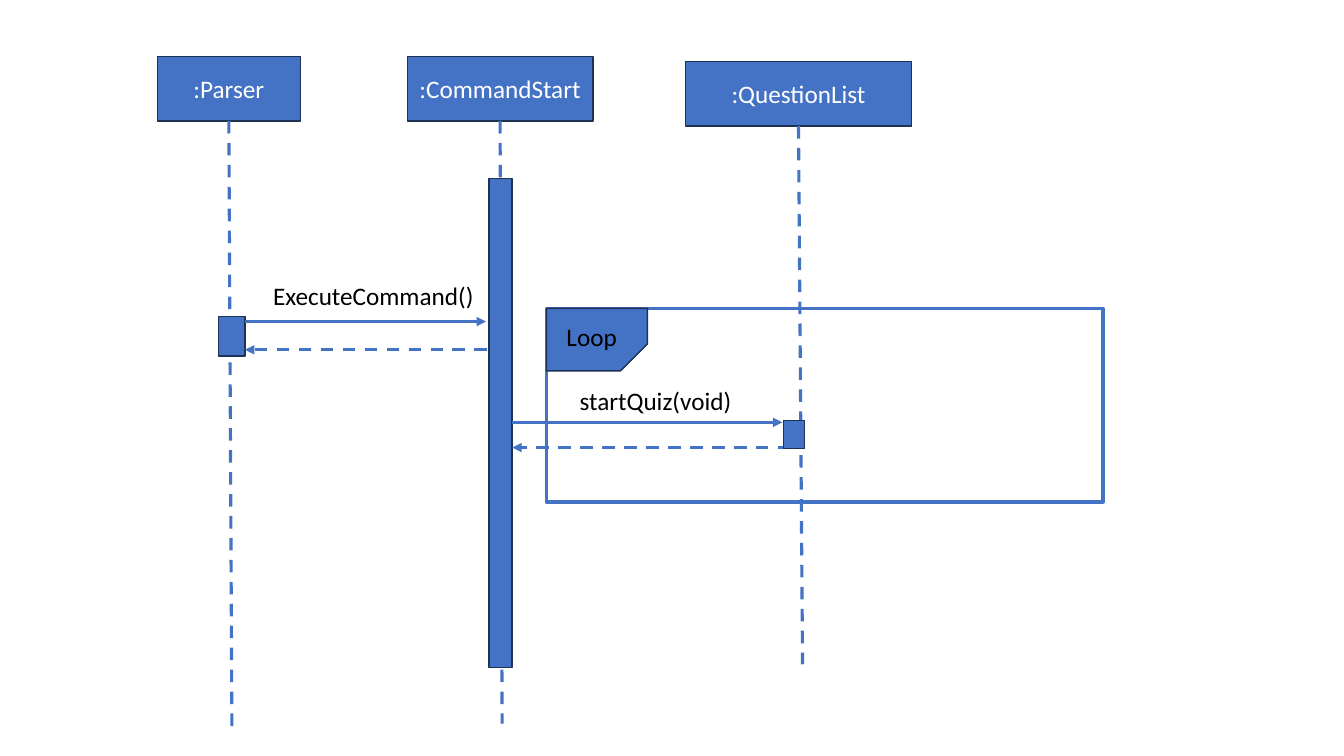
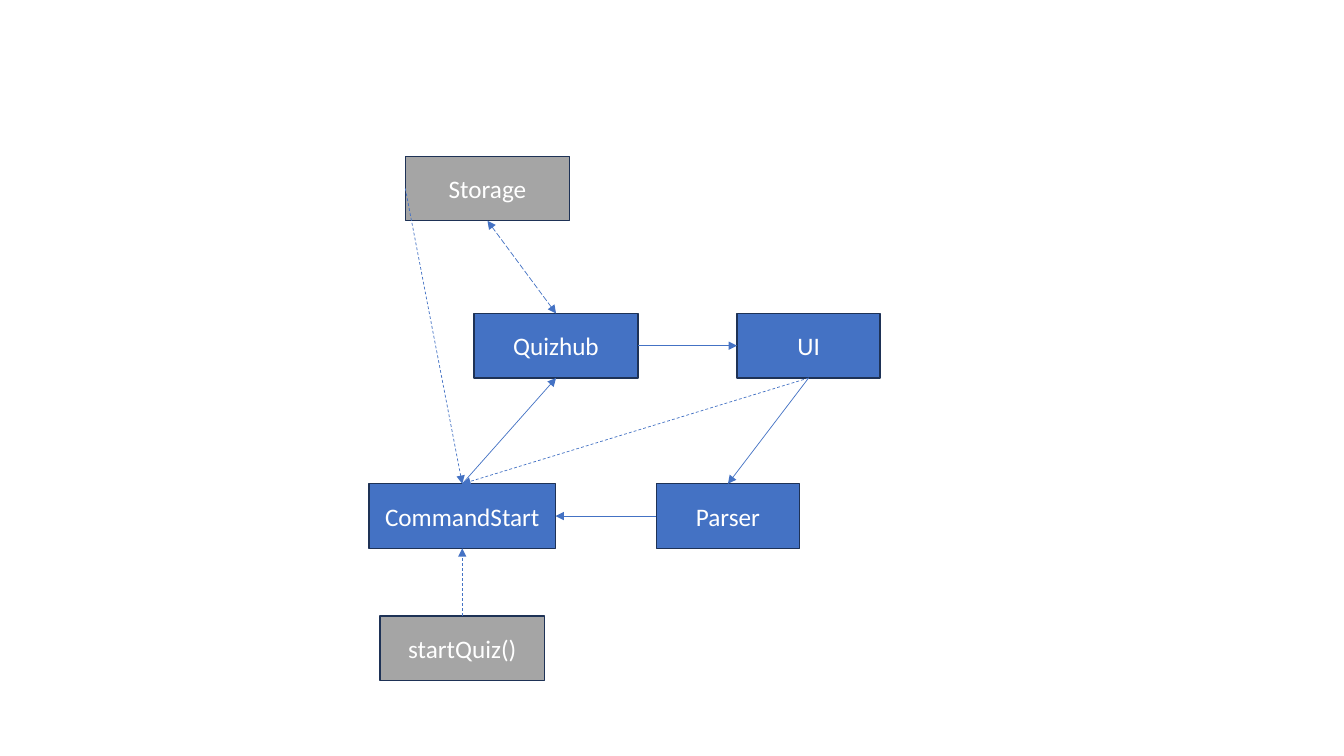
from pptx import Presentation
from pptx.dml.color import RGBColor
from pptx.enum import dml, shapes, text
from pptx.oxml import ns, xmlchemy
from pptx.util import Inches, Pt

# Shared look
BLUE, GREY, NAVY = "4472C4", "A5A5A5", "1E3256"
WHITE, BLACK = "FFFFFF", "000000"
FONT = {"name": "Calibri", "size": Pt(18)}
BOX_HEIGHT = 0.64
DASH, LONG_DASH = dml.MSO_LINE.DASH, dml.MSO_LINE.LONG_DASH
TOP, LEFT, BOTTOM, RIGHT = range(4)


def colour(hex_value):
    return RGBColor.from_string(hex_value)


def set_all(target, values):
    for name, value in values.items():
        setattr(target, name, value)


def write(shape, words, hex_value, align, frame_format):
    set_all(shape.text_frame, frame_format)
    para = shape.text_frame.paragraphs[0]
    para.alignment = align
    span = para.add_run()
    span.text = words
    set_all(span.font, FONT)
    span.font.color.rgb = colour(hex_value)


def add_box(page, left, top, width, height=BOX_HEIGHT, words="", fill=BLUE,
            border=NAVY, weight=1, kind=shapes.MSO_SHAPE.RECTANGLE):
    """Draw a bordered shape; a fill of None leaves it open."""
    box = page.shapes.add_shape(kind, *map(Inches, (left, top, width, height)))
    box.shadow.inherit = False
    if fill:
        box.fill.solid()
        box.fill.fore_color.rgb = colour(fill)
    else:
        box.fill.background()
    box.line.color.rgb = colour(border)
    box.line.width = Pt(weight)
    if words:
        write(box, words, WHITE, text.PP_ALIGN.CENTER,
              {"word_wrap": True, "vertical_anchor": text.MSO_ANCHOR.MIDDLE})
    return box


def add_label(page, left, top, width, words, wrap=True):
    label = page.shapes.add_textbox(*map(Inches, (left, top, width, 0.4)))
    write(label, words, BLACK, text.PP_ALIGN.LEFT,
          {"word_wrap": wrap, "auto_size": text.MSO_AUTO_SIZE.SHAPE_TO_FIT_TEXT})


def add_line(page, start=(0, 0), end=(0, 0), weight=2.25, dash=None, arrows=()):
    """Draw a straight line; arrows may name headEnd and tailEnd, in that order."""
    line = page.shapes.add_connector(
        shapes.MSO_CONNECTOR.STRAIGHT, *map(Inches, (*start, *end)))
    line.line.color.rgb = colour(BLUE)
    set_all(line.line, {"width": Pt(weight), "dash_style": dash})
    properties = line.element.spPr
    outline = properties.find(ns.qn("a:ln"))
    for arrow in arrows:
        tip = xmlchemy.OxmlElement(f"a:{arrow}")
        tip.set("type", "triangle")
        outline.append(tip)
    properties.append(xmlchemy.OxmlElement("a:effectLst"))
    return line


def add_lifeline(page, header, foot):
    add_line(page, end=foot, dash=DASH).begin_connect(header, BOTTOM)


def add_message(page, start_x, end_x, y, dash=None):
    add_line(page, (start_x, y), (end_x, y), dash=dash, arrows=["tailEnd"])


def add_link(page, source, source_side, target, target_side,
             dash=None, arrows=("tailEnd",)):
    link = add_line(page, weight=0.5, dash=dash, arrows=arrows)
    link.begin_connect(source, source_side)
    link.end_connect(target, target_side)


def build_sequence(page):
    # Participants and activation bars
    parser = add_box(page, 1.56, 0.56, 1.42, words=":Parser")
    add_box(page, 4.85, 1.77, 0.23, 4.85)
    command = add_box(page, 4.04, 0.56, 1.84, words=":CommandStart")
    add_box(page, 2.17, 3.14, 0.26, 0.39)
    questions = add_box(page, 6.8, 0.61, 2.24, words=":QuestionList")

    # Lifelines
    for header, foot in ((parser, (2.3, 7.23)), (command, (4.98, 7.18)),
                         (questions, (7.96, 6.59))):
        add_lifeline(page, header, foot)

    # Calls and returns
    add_message(page, 2.43, 4.82, 3.19)
    add_message(page, 4.83, 2.43, 3.47, DASH)
    add_message(page, 7.84, 5.08, 4.44, DASH)
    add_message(page, 5.08, 7.76, 4.19)
    add_label(page, 2.61, 2.73, 2.21, "ExecuteCommand()", wrap=False)
    add_label(page, 5.65, 3.77, 1.72, "startQuiz(void)")
    add_box(page, 7.77, 4.17, 0.21, 0.28)

    # Loop frame with its tab
    add_box(page, 5.42, 3.06, 5.52, 1.92, fill=None, border=BLUE, weight=2.25)
    tab = add_box(page, 5.61, 2.87, 0.62, 1,
                  kind=shapes.MSO_SHAPE.SNIP_1_RECTANGLE)
    tab.rotation = 90
    tab.adjustments[0] = 0.43
    add_label(page, 5.52, 3.14, 0.71, "Loop")


def build_architecture(page):
    # Components
    ui = add_box(page, 7.31, 3.11, 1.42, words="UI")
    parser = add_box(page, 6.51, 4.8, 1.42, words="Parser")
    command = add_box(page, 3.66, 4.8, 1.85, words="CommandStart")
    hub = add_box(page, 4.7, 3.11, 1.63, words="Quizhub")
    storage = add_box(page, 4.02, 1.55, 1.63, words="Storage", fill=GREY)
    start = add_box(page, 3.77, 6.11, 1.63, words="startQuiz()", fill=GREY)

    # Solid, two-way and dashed links
    add_link(page, hub, RIGHT, ui, LEFT)
    add_link(page, ui, BOTTOM, parser, TOP)
    add_link(page, parser, LEFT, command, RIGHT)
    add_link(page, command, TOP, hub, BOTTOM)
    add_link(page, hub, TOP, storage, BOTTOM, LONG_DASH, ("headEnd", "tailEnd"))
    add_link(page, start, TOP, command, BOTTOM, DASH)
    add_link(page, storage, LEFT, command, TOP, DASH)
    add_link(page, ui, BOTTOM, command, TOP, DASH)


def main():
    deck = Presentation()
    set_all(deck, {"slide_width": Inches(13.33), "slide_height": Inches(7.5)})
    blank = deck.slide_layouts.get_by_name("Blank")
    for build in (build_sequence, build_architecture):
        build(deck.slides.add_slide(blank))
    deck.save("out.pptx")


if __name__ == "__main__":
    main()
